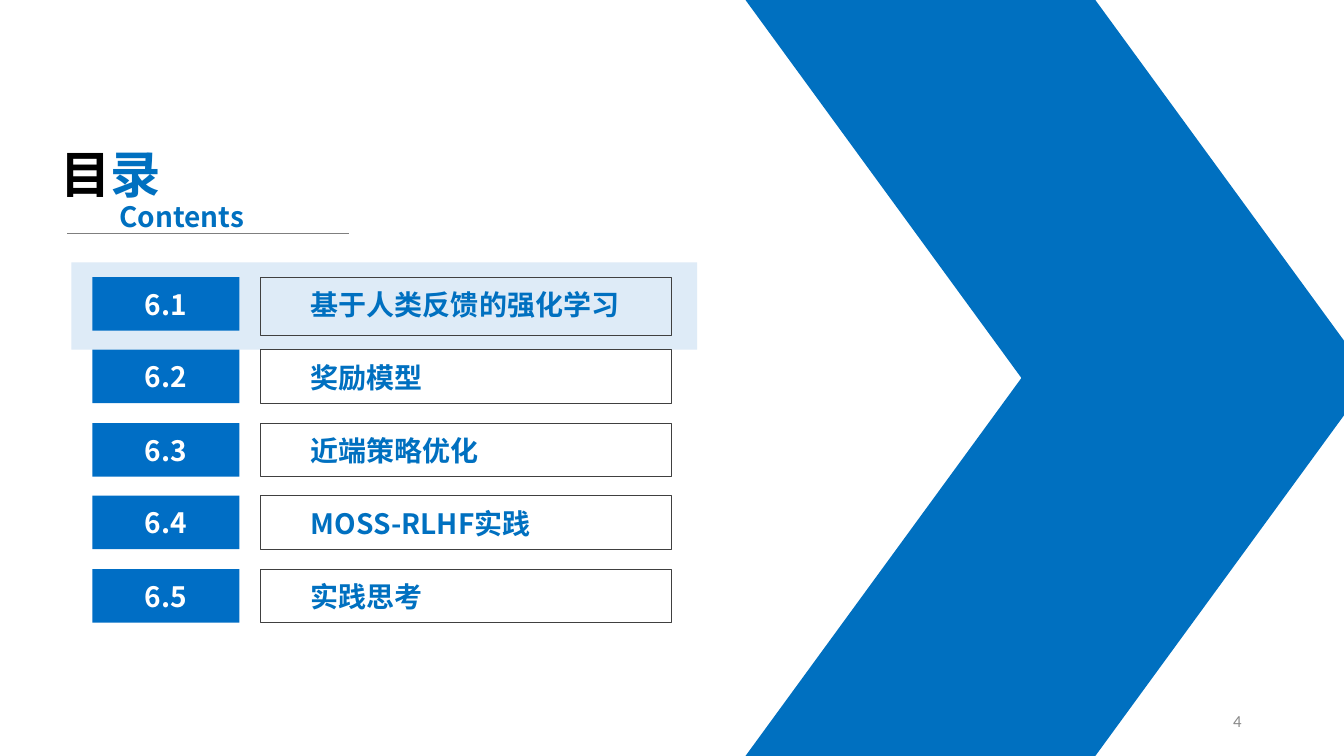
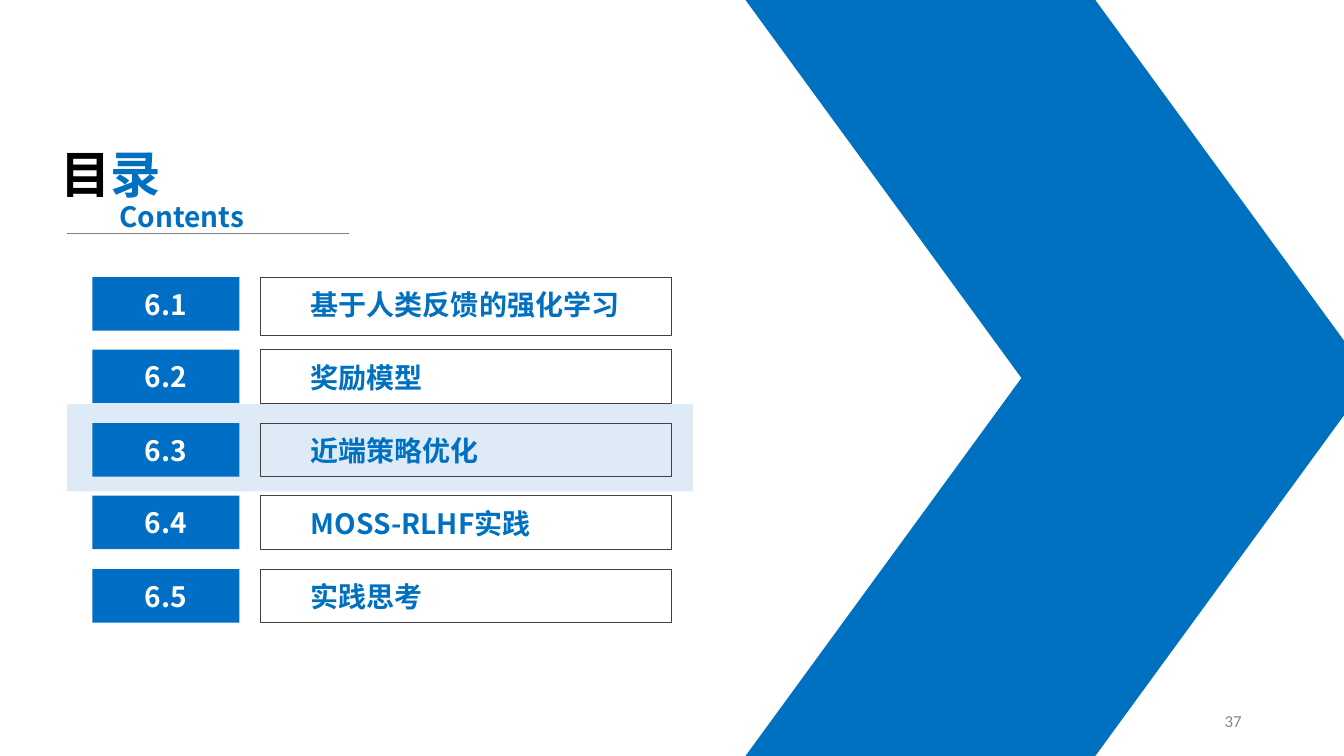
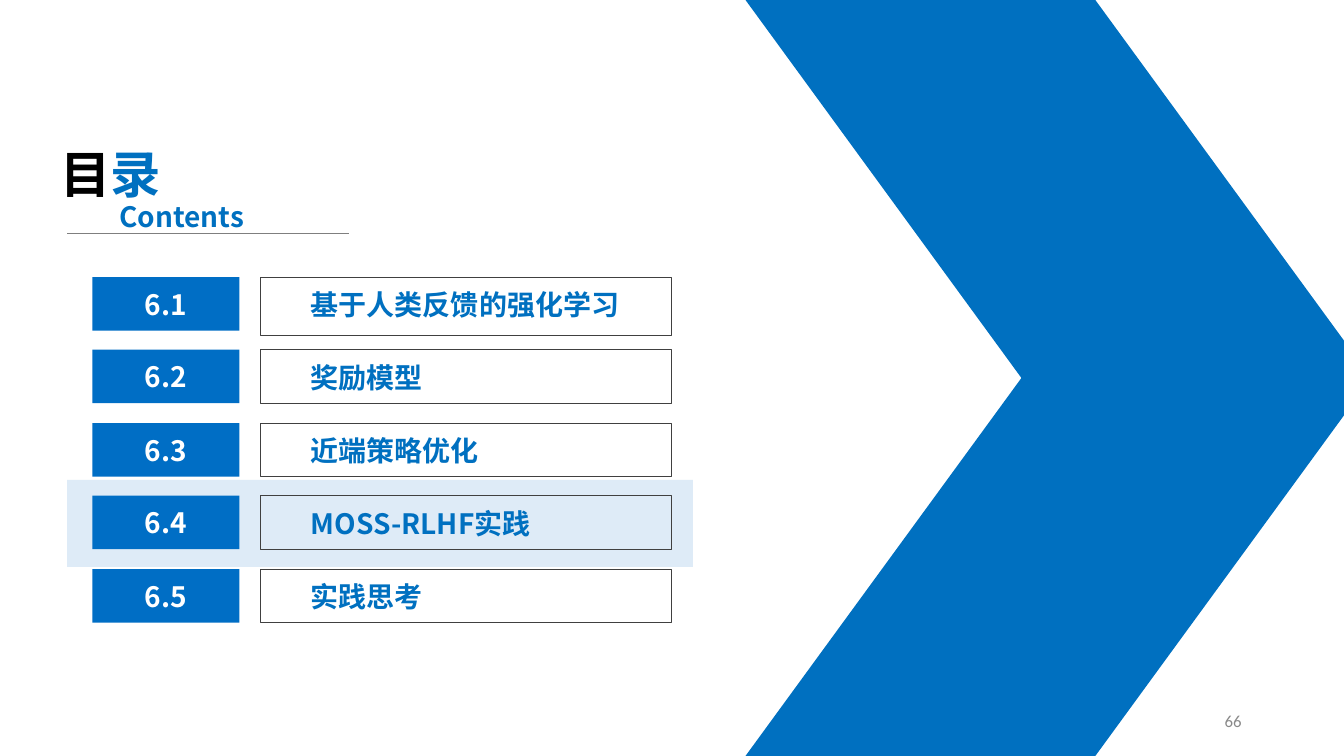
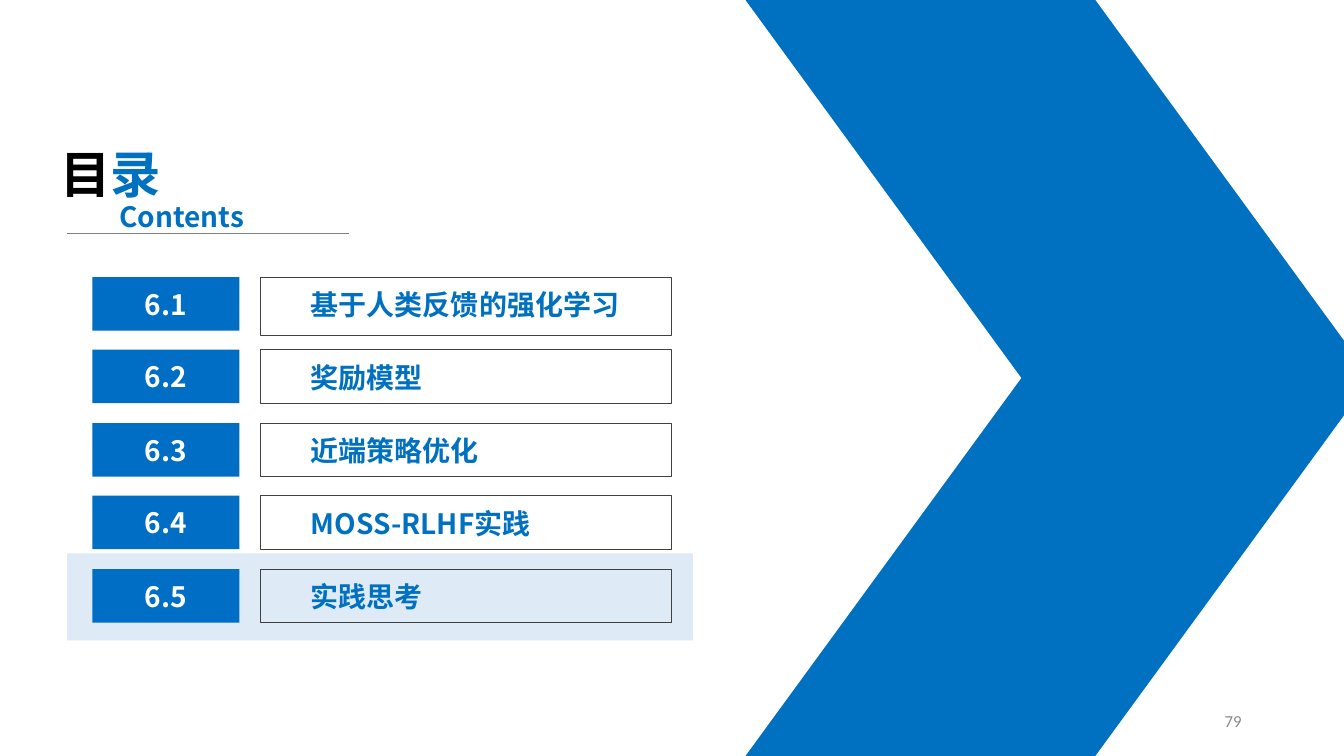
from lxml.etree import SubElement
from pptx import Presentation
from pptx.dml.color import RGBColor
from pptx.enum.shapes import MSO_CONNECTOR as Connector, MSO_SHAPE as Preset
from pptx.enum.text import MSO_ANCHOR as Anchor, PP_ALIGN as Align
from pptx.oxml.ns import qn
from pptx.util import Pt

EMU_PER_PX = 9525
WIDTH, HEIGHT = 1280, 720

COLORS = {
    "blue": "0070C0",
    "number": "006EC5",
    "highlight": "DEEBF7",
    "border": "404040",
    "rule": "7F7F7F",
    "page": "898989",
    "black": "000000",
    "white": "FFFFFF",
}
HEADING_FONT, PAGE_FONT = "Noto Sans CJK SC", "Calibri"

TOPICS = ["基于人类反馈的强化学习", "奖励模型", "近端策略优化", "MOSS-RLHF实践", "实践思考"]
FIRST_ROW_TOP, TWO_ROWS, ROW_HEIGHT = 264, 139, 51

# Page number, then left and top of the highlight band
PAGES = [(4, 68, 250), (37, 64, 385), (66, 64, 457), (79, 64, 527)]


def px(length):
    return length * EMU_PER_PX


def color(name):
    return RGBColor.from_string(COLORS[name])


class Deck:
    def __init__(self):
        self.presentation = Presentation()
        self.presentation.slide_width = px(WIDTH)
        self.presentation.slide_height = px(HEIGHT)
        self.slide = None

    def new_slide(self):
        self.slide = self.presentation.slides.add_slide(self.presentation.slide_layouts[6])

    def shape(self, preset, left, top, width, height, fill=None, line=None):
        shape = self.slide.shapes.add_shape(preset, px(left), px(top), px(width), px(height))
        shape.shadow.inherit = False
        if fill:
            shape.fill.solid()
            shape.fill.fore_color.rgb = color(fill)
        else:
            shape.fill.background()
        if line:
            shape.line.color.rgb = color(line)
            shape.line.width = Pt(0.75)
        else:
            shape.line.fill.background()
        return shape

    def label(self, shape, runs, size=20, font=HEADING_FONT, bold=True,
              align=Align.LEFT, anchor=Anchor.TOP):
        """Fill a shape with one paragraph of (text, colour) runs."""
        frame = shape.text_frame
        frame.word_wrap = True
        frame.vertical_anchor = anchor
        paragraph = frame.paragraphs[0]
        paragraph.alignment = align
        paragraph.font.size = Pt(size)
        paragraph.font.bold = bold
        for text, name in runs:
            run = paragraph.add_run()
            run.text = text
            run.font.color.rgb = color(name)
            run.font.name = font
            SubElement(run.font._element, qn("a:ea")).set("typeface", font)

    def text(self, left, top, width, height, runs, **style):
        box = self.slide.shapes.add_textbox(px(left), px(top), px(width), px(height))
        self.label(box, runs, **style)

    def rule(self, left, right, y):
        line = self.slide.shapes.add_connector(
            Connector.STRAIGHT, px(left), px(y), px(right), px(y))
        line.line.color.rgb = color("rule")
        line.line.width = Pt(0.5)
        SubElement(line._element.spPr, qn("a:effectLst"))

    def chevron(self):
        """Two mirrored parallelograms that meet at mid-height."""
        half = HEIGHT // 2
        for top in (half, 0):
            arm = self.shape(Preset.PARALLELOGRAM, 710, top, 596, half, fill="blue")
            arm.adjustments[0] = 0.73
            if top == 0:
                arm._element.spPr.xfrm.set("flipV", "1")

    def heading(self):
        self.text(48, 132, 151, 68, [("目", "black"), ("录", "blue")], size=36)
        self.rule(64, 332, 222)
        self.text(104, 185, 151, 42, [("Contents", "blue")])

    def topic_row(self, index, topic):
        top = FIRST_ROW_TOP + index * TWO_ROWS // 2
        height = ROW_HEIGHT + 5 if index == 0 else ROW_HEIGHT
        frame = self.shape(Preset.RECTANGLE, 248, top, 392, height, line="border")
        frame.text_frame.margin_left = px(48)
        frame.text_frame.margin_top = px(10)
        self.label(frame, [(topic, "blue")])
        number = self.shape(Preset.RECTANGLE, 88, top, 140, ROW_HEIGHT, fill="number")
        self.label(number, [(f"6.{index + 1}", "white")],
                   align=Align.CENTER, anchor=Anchor.MIDDLE)

    def page_number(self, page):
        self.text(904, 667, 288, 38, [(str(page), "page")], size=12, font=PAGE_FONT,
                  bold=False, align=Align.RIGHT, anchor=Anchor.MIDDLE)


def main():
    deck = Deck()
    for page, band_left, band_top in PAGES:
        deck.new_slide()
        # Background: current section and chevron
        deck.shape(Preset.RECTANGLE, band_left, band_top, 596, 83, fill="highlight")
        deck.chevron()
        # Contents list
        deck.heading()
        for index, topic in enumerate(TOPICS):
            deck.topic_row(index, topic)
        # Footer
        deck.page_number(page)
    deck.presentation.save("out.pptx")


if __name__ == "__main__":
    main()
